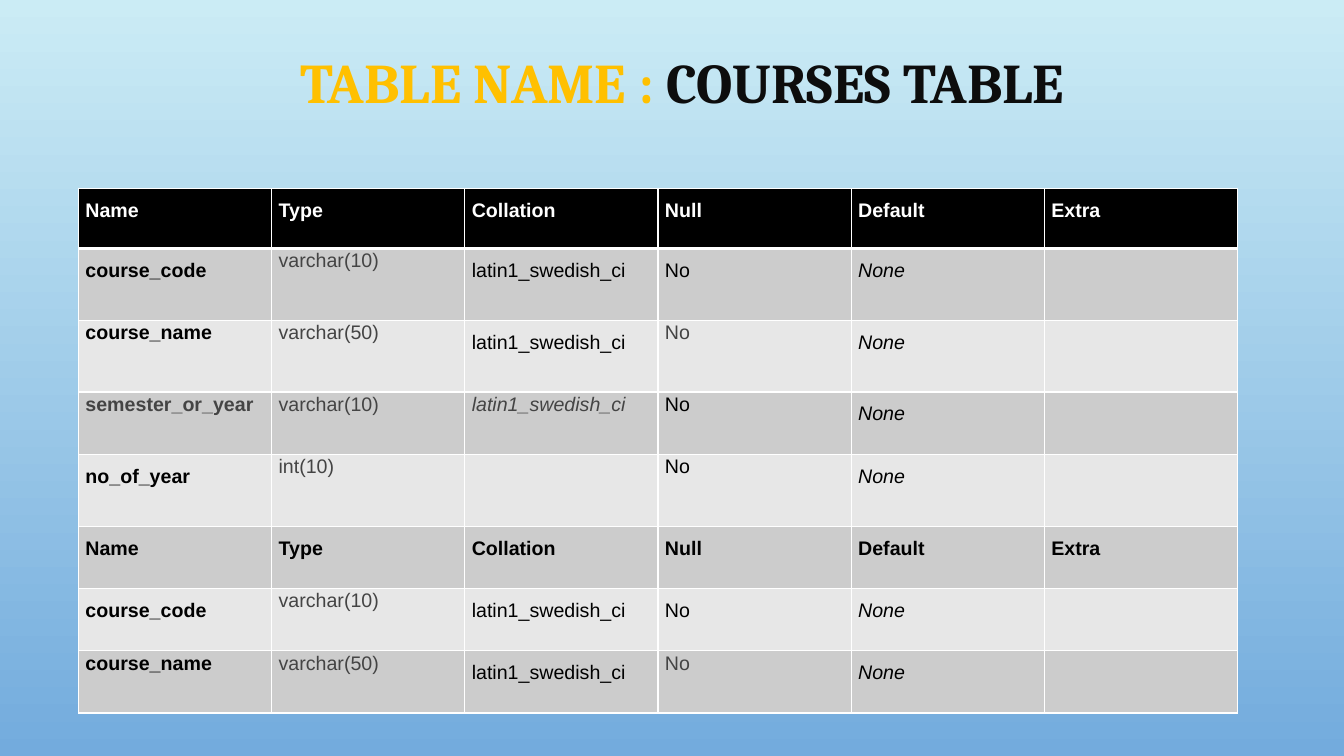
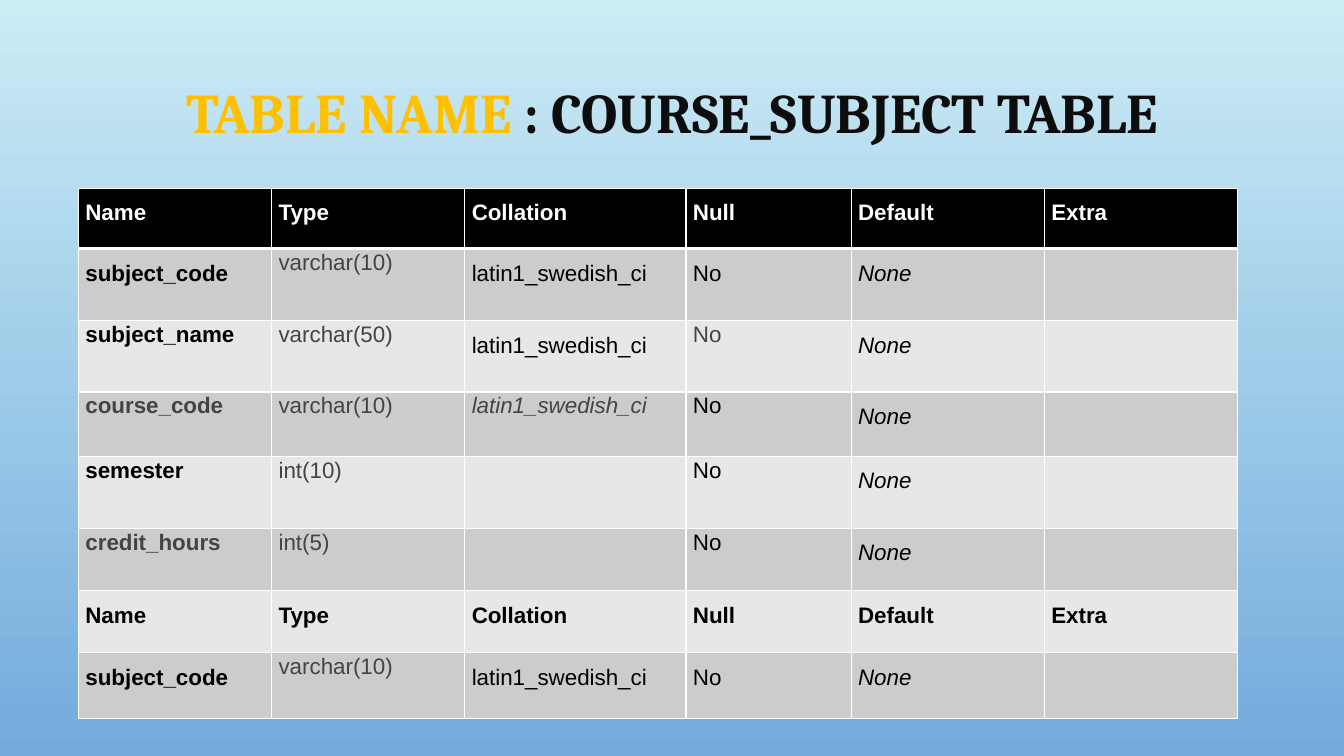
from dataclasses import dataclass

from lxml import etree
from pptx import Presentation
from pptx.dml.color import RGBColor
from pptx.enum.text import MSO_ANCHOR, PP_ALIGN
from pptx.oxml.ns import qn
from pptx.util import Pt

CENTER = PP_ALIGN.CENTER
MIDDLE = MSO_ANCHOR.MIDDLE


@dataclass(frozen=True)
class Theme:
    sky_top: str = "CBECF5"
    sky_bottom: str = "73ABDD"
    label: str = "FFC000"
    title: str = "0D0D0D"
    header: str = "000000"
    bands: tuple = ("CCCCCC", "E7E7E7")
    border: str = "FFFFFF"
    ink: str = "000000"
    muted: str = "444444"
    title_font: str = "Cambria"
    body_font: str = "Arial"
    title_size: int = 40
    loose: float = 1.5
    tight: float = 1.07


theme = Theme()

# style letter: colour, bold, italic, line spacing
STYLES = {
    "H": (theme.border, True, False, theme.loose),
    "B": (theme.ink, True, False, theme.loose),
    "b": (theme.ink, True, False, theme.tight),
    "m": (theme.muted, True, False, theme.tight),
    "t": (theme.muted, False, False, theme.tight),
    "P": (theme.ink, False, False, theme.loose),
    "p": (theme.ink, False, False, theme.tight),
    "I": (theme.ink, False, True, theme.loose),
    "i": (theme.muted, False, True, theme.tight),
}

HEADINGS = ["Name", "Type", "Collation", "Null", "Default", "Extra"]
COLLATION = "latin1_swedish_ci"

course_rows = [
    ("BtPPI", ["course_code", "varchar(10)", COLLATION, "No", "None"]),
    ("btPtI", ["course_name", "varchar(50)", COLLATION, "No", "None"]),
    ("mtipI", ["semester_or_year", "varchar(10)", COLLATION, "No", "None"]),
    ("BtPpI", ["no_of_year", "int(10)", "", "No", "None"]),
]
subject_rows = [
    ("BtPPI", ["subject_code", "varchar(10)", COLLATION, "No", "None"]),
    ("btPtI", ["subject_name", "varchar(50)", COLLATION, "No", "None"]),
    ("mtipI", ["course_code", "varchar(10)", COLLATION, "No", "None"]),
    ("btPpI", ["semester", "int(10)", "", "No", "None"]),
    ("mtPpI", ["credit_hours", "int(5)", "", "No", "None"]),
]
top_headings = ("HHHHHH", HEADINGS)
repeated_headings = ("BBBBBB", HEADINGS)

pages = [
    {
        "title": ("TABLE NAME : ", "COURSES TABLE"),
        "title_at": (73.5, 8.5),
        "size": 14,
        "widths": [138] * 6,
        "heights": [43, 51.5, 51, 44.5, 51.5, 44.5, 44.5, 44.5],
        "rows": [top_headings, *course_rows, repeated_headings, *course_rows[:2]],
    },
    {
        "title": ("TABLE NAME ", ": COURSE_SUBJECT TABLE"),
        "title_at": (66, 30),
        "size": 16,
        "widths": [138, 138, 158, 118, 138, 138],
        "heights": [43, 51.5, 51, 46, 51.5, 44.5, 44.5, 47],
        "rows": [top_headings, *subject_rows, repeated_headings, *subject_rows[:1]],
    },
]


def style_run(run, font, size, color, bold=True, italic=False):
    run.font.name = font
    run.font.size = Pt(size)
    run.font.color.rgb = RGBColor.from_string(color)
    run.font.bold = bold
    run.font.italic = italic


def add_borders(cell, top, bottom):
    properties = cell._tc.get_or_add_tcPr()
    edges = [("a:lnL", 1), ("a:lnR", 1), ("a:lnT", top), ("a:lnB", bottom)]
    for position, (tag, width) in enumerate(edges):
        edge = etree.Element(qn(tag), w=str(Pt(width)))
        fill = etree.SubElement(edge, qn("a:solidFill"))
        etree.SubElement(fill, qn("a:srgbClr"), val=theme.border)
        properties.insert(position, edge)


prs = Presentation()
prs.slide_width, prs.slide_height = Pt(960), Pt(540)
blank = prs.slide_layouts[6]

sky = prs.slide_master.background.fill
sky.gradient()
sky.gradient_angle = 270
for stop, color in zip(sky.gradient_stops, (theme.sky_top, theme.sky_bottom)):
    stop.color.rgb = RGBColor.from_string(color)

for page in pages:
    slide = prs.slides.add_slide(blank)

    left, top = page["title_at"]
    heading = slide.shapes.add_textbox(Pt(left), Pt(top), Pt(828), Pt(104.5)).text_frame
    heading.word_wrap = True
    heading.vertical_anchor = MIDDLE
    line = heading.paragraphs[0]
    line.alignment = CENTER
    line.line_spacing = 0.9
    for text, color in zip(page["title"], (theme.label, theme.title)):
        run = line.add_run()
        run.text = text
        style_run(run, theme.title_font, theme.title_size, color)

    rows, widths, heights = page["rows"], page["widths"], page["heights"]
    columns = slide.shapes.add_table(
        len(rows), len(widths), Pt(56), Pt(134.5), Pt(sum(widths)), Pt(sum(heights))
    ).table
    for column, width in zip(columns.columns, widths):
        column.width = Pt(width)

    for r, (letters, texts) in enumerate(rows):
        columns.rows[r].height = Pt(heights[r])
        band = theme.bands[(r - 1) % 2] if r else theme.header
        for c in range(len(widths)):
            cell = columns.cell(r, c)
            cell.margin_left = cell.margin_right = Pt(5)
            cell.margin_top = cell.margin_bottom = 0
            cell.fill.solid()
            cell.fill.fore_color.rgb = RGBColor.from_string(band)
            add_borders(cell, 3 if r == 1 else 1, 3 if r == 0 else 1)
            if c < len(texts) and texts[c]:
                color, bold, italic, spacing = STYLES[letters[c]]
                paragraph = cell.text_frame.paragraphs[0]
                paragraph.text = texts[c]
                paragraph.line_spacing = spacing
                style_run(paragraph.runs[0], theme.body_font, page["size"], color, bold, italic)

prs.save("out.pptx")
